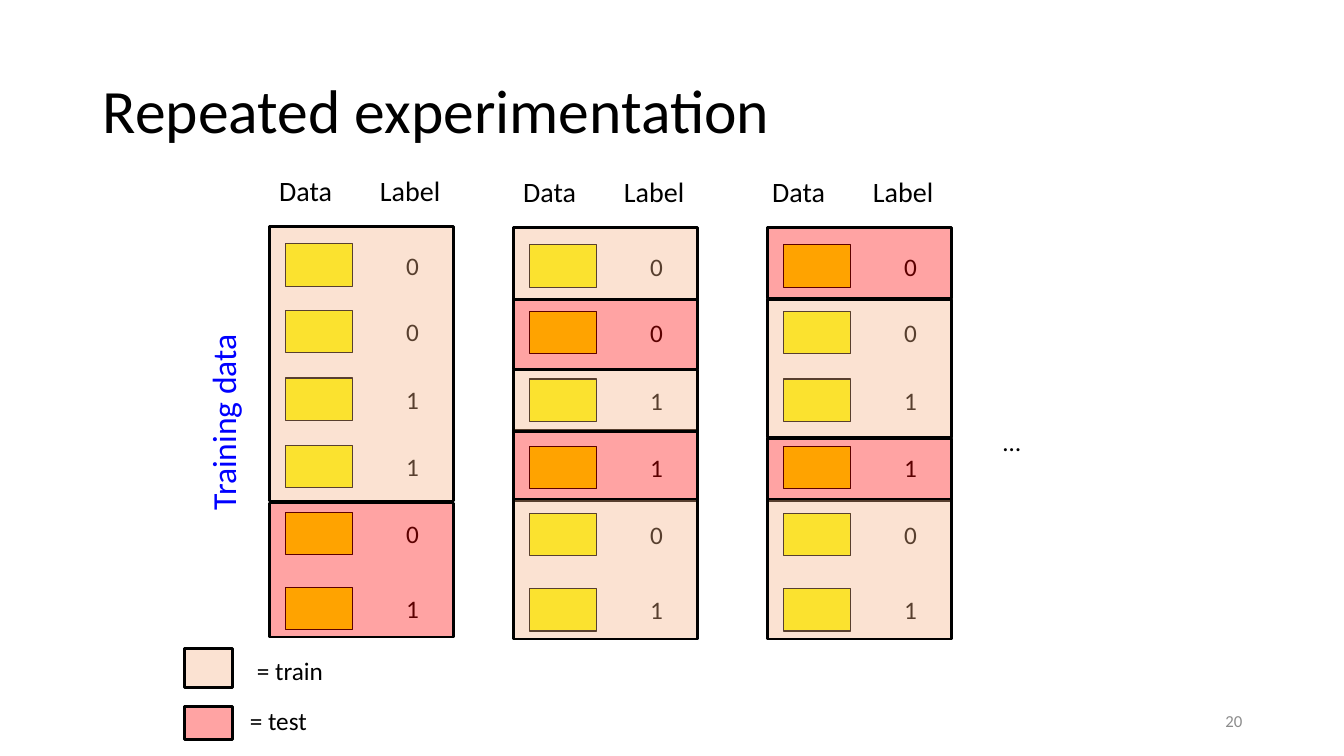
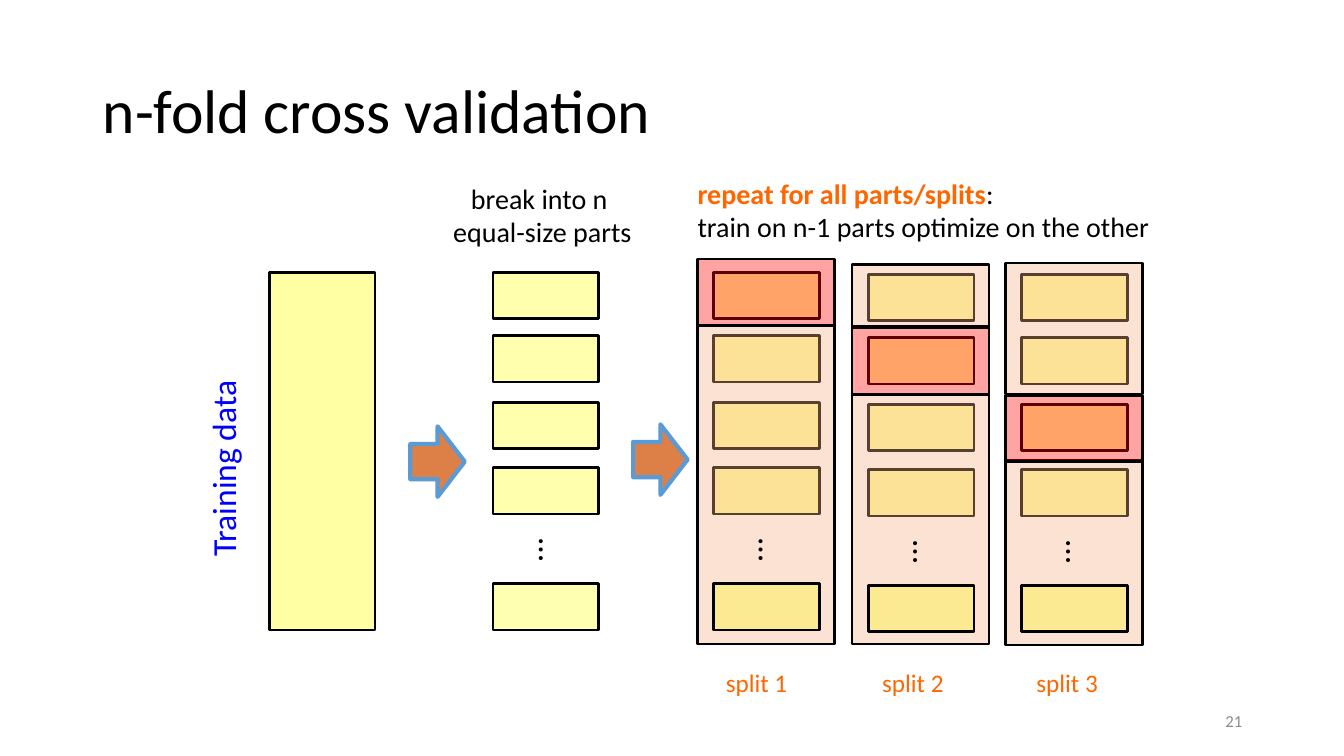
import dataclasses

import pptx
import pptx.dml.color
import pptx.enum.shapes
import pptx.enum.text
import pptx.oxml
import pptx.oxml.ns
import pptx.util

Inches = pptx.util.Inches
Pt = pptx.util.Pt
RGB = pptx.dml.color.RGBColor.from_string
Align = pptx.enum.text.PP_ALIGN
Anchor = pptx.enum.text.MSO_ANCHOR
Fit = pptx.enum.text.MSO_AUTO_SIZE
Kind = pptx.enum.shapes.MSO_SHAPE


@dataclasses.dataclass(frozen=True)
class Theme:
    """Colours, font and type sizes of the deck."""
    font: str = "Calibri"
    ink: str = "000000"
    paper: str = "FFFFFF"
    side: str = "0000FF"
    accent: str = "FF6600"
    pale: str = "8C8C8C"
    data: str = "FFFF00"
    train: str = "F4B183"
    test: str = "FF0000"
    arrow: str = "DD8047"
    edge: str = "5B9BD5"
    title: int = 44
    big: int = 24
    head: int = 20
    body: int = 18
    small: int = 12
    thin: float = 0.75
    thick: float = 2
    heavy: float = 3
    glass: int = 36


def assign(target, values):
    """Set each named value on the target."""
    for name, value in values.items():
        setattr(target, name, value)


class Deck:
    """Holds the style and the current slide, and draws on it."""

    def __init__(self, theme):
        """Start an empty wide deck."""
        self.theme = theme
        self.show = pptx.Presentation()
        assign(self.show, {"slide_width": Inches(13.33),
                           "slide_height": Inches(7.5)})
        self.slide = None
        self.art = None

    def page(self, title, number):
        """Add a slide with its title and number."""
        self.slide = self.show.slides.add_slide(self.show.slide_layouts[5])
        self.art = self.slide.shapes
        fill = self.slide.background.fill
        fill.solid()
        fill.fore_color.rgb = RGB(self.theme.paper)
        box = self.slide.shapes.title
        self.place(box, 0.92, 0.4, 11.5, 1.45)
        assign(box.text_frame, {"word_wrap": True, "auto_size": Fit.NONE,
                                "vertical_anchor": Anchor.MIDDLE})
        para = box.text_frame.paragraphs[0]
        assign(para, {"alignment": Align.LEFT, "line_spacing": 0.9})
        self.run(para, title, self.theme.title)
        self.text([[(number, {"color": self.theme.pale})]],
                  9.42, 6.95, 3, 0.4, self.theme.small, align=Align.RIGHT,
                  frame={"word_wrap": True, "auto_size": Fit.NONE,
                         "vertical_anchor": Anchor.MIDDLE})

    def group(self):
        """Send what follows to a new group."""
        self.art = self.slide.shapes.add_group_shape().shapes

    def place(self, shape, left, top, width, height):
        """Put a shape at a spot given in inches."""
        assign(shape, {"left": Inches(left), "top": Inches(top),
                       "width": Inches(width), "height": Inches(height)})

    def run(self, para, words, size, color=None, bold=False):
        """Add a run of styled words."""
        run = para.add_run()
        run.text = words
        assign(run.font, {"name": self.theme.font, "size": Pt(size),
                          "bold": bold})
        run.font.color.rgb = RGB(color or self.theme.ink)

    def text(self, lines, left, top, width, height, size,
             align=Align.LEFT, turn=0, frame=None):
        """Add a text box; a line lists (words, format), or None to break."""
        box = self.art.add_textbox(Inches(left), Inches(top),
                                   Inches(width), Inches(height))
        box.rotation = turn
        body = box.text_frame
        assign(body, frame or {"word_wrap": False,
                               "auto_size": Fit.SHAPE_TO_FIT_TEXT})
        for index, line in enumerate(lines):
            para = body.add_paragraph() if index else body.paragraphs[0]
            para.alignment = align
            for piece in line:
                if piece is None:
                    para.add_line_break()
                else:
                    self.run(para, piece[0], size, **piece[1])

    def label(self, words, left, top, width, height, size,
              color=None, turn=0):
        """Add one short line of text."""
        self.text([[(words, {"color": color})]], left, top, width, height,
                  size, turn=turn)

    def shape(self, left, top, width, height, color, kind=Kind.RECTANGLE,
              line=None, weight=None, alpha=None):
        """Add a filled outline shape, clear by alpha if given."""
        shape = self.art.add_shape(kind, Inches(left), Inches(top),
                                   Inches(width), Inches(height))
        shape.shadow.inherit = False
        shape.fill.solid()
        shape.fill.fore_color.rgb = RGB(color)
        shape.line.color.rgb = RGB(line or self.theme.ink)
        shape.line.width = Pt(weight or self.theme.thick)
        if alpha:
            tint = shape.element.spPr.find("/".join(
                map(pptx.oxml.ns.qn, ("a:solidFill", "a:srgbClr"))))
            tint.append(pptx.oxml.parse_xml(
                f'<a:alpha {pptx.oxml.ns.nsdecls("a")} val="{alpha * 1000}"/>'))

    def band(self, role, left, top, width, height):
        """Add a clear band in the colour of its role."""
        self.shape(left, top, width, height, getattr(self.theme, role),
                   alpha=self.theme.glass)

    def side(self, top):
        """Add the upright label at the left."""
        self.label("Training data", 1.21, top, 2, 0.5, self.theme.big,
                   self.theme.side, turn=270)

    def arrow(self, left, top):
        """Add a block arrow."""
        self.shape(left, top, 0.54, 0.7, self.theme.arrow, Kind.RIGHT_ARROW,
                   self.theme.edge, self.theme.heavy)

    def dots(self, left, top):
        """Add an upright row of dots."""
        self.label("…", left, top, 0.44, 0.5, self.theme.big, turn=90)

    def slab(self, left, top, alpha):
        """Add one equal part of the data."""
        self.shape(left, top, 1.05, 0.46, self.theme.data, alpha=alpha)


LABELS = "001101"
ROWS = [2.42, 3.08, 3.75, 4.42, 5.08, 5.83]
# left, shift down, left of heads, bands as (role, top, height)
TRIALS = [
    (2.67, 0, 2.67, [("train", 2.25, 2.72), ("test", 4.99, 1.33)]),
    (5.09, 0.01, 5.09, [("train", 2.26, 0.71), ("test", 2.97, 0.7),
                        ("test", 4.27, 0.7), ("train", 4.95, 1.39),
                        ("train", 3.67, 0.61)]),
    (7.61, 0.01, 7.56, [("train", 2.97, 1.37), ("test", 2.26, 0.7),
                        ("test", 4.35, 0.62), ("train", 4.95, 1.39)]),
]
# role, top of key, height of key, left of words, top of words, width
KEYS = [("train", 6.43, 0.39, 2.45, 6.45, 0.9),
        ("test", 7.01, 0.33, 2.38, 6.95, 0.77)]

SLABS = [2.7, 3.33, 3.99, 4.64]
LAST = 5.79
# left, shift down, left of name, bands under and over the last slab
SPLITS = [
    (6.92, 0, 7.1, [("train", 3.23, 3.16), ("test", 2.57, 0.66)], []),
    (8.45, 0.02, 8.65, [("train", 3.91, 2.48), ("test", 3.25, 0.66)],
     [("train", 2.62, 0.62)]),
    (9.97, 0.02, 10.18, [("train", 4.57, 1.83), ("test", 3.92, 0.66)],
     [("train", 2.61, 1.3)]),
]


def trials(deck):
    """Draw the slide of repeated trials."""
    look = deck.theme
    deck.page("Repeated experimentation", "20")
    deck.side(3.91)
    for left, shift, head, bands in TRIALS:
        deck.label("Data", head, 1.67 + shift, 0.73, 0.44, look.head)
        deck.label("Label", head + 1, 1.67 + shift, 0.81, 0.44, look.head)
        for top, digit in zip(ROWS, LABELS):
            deck.shape(left + 0.16, top + shift, 0.67, 0.42, look.data,
                       weight=look.thin)
            deck.label(digit, left + 1.26, top + shift + 0.01, 0.34, 0.4,
                       look.body)
        for role, top, height in bands:
            deck.band(role, left, top, 1.83, height)
    deck.label("…", 9.85, 4.18, 0.38, 0.4, look.body)
    for role, top, height, left, line, width in KEYS:
        deck.band(role, 1.83, top, 0.48, height)
        deck.label(f"= {role}", left, line, width, 0.4, look.body)


def folds(deck):
    """Draw the slide of n-fold splits."""
    look = deck.theme
    deck.page("n-fold cross validation", "21")
    deck.side(4.37)
    deck.band("data", 2.67, 2.7, 1.05, 3.55)
    deck.arrow(4.07, 4.23)
    deck.text([[("break into n ", {})], [("equal-size parts", {})]],
              4.38, 1.75, 2, 0.77, look.head, Align.CENTER)
    for top in SLABS:
        deck.slab(4.89, top, 32)
    deck.dots(5.26, 5.21)
    deck.slab(4.89, LAST, 30)
    deck.arrow(6.28, 4.21)
    deck.text([[("repeat for all parts/splits",
                 {"color": look.accent, "bold": True}), (":", {}), None,
                ("train on n-1 parts optimize on the other", {})]],
              6.82, 1.7, 4.78, 0.77, look.head,
              frame={"word_wrap": True, "auto_size": Fit.SHAPE_TO_FIT_TEXT})
    for count, (left, shift, name, under, over) in enumerate(SPLITS, 1):
        deck.group()
        for top in SLABS:
            deck.slab(left + 0.16, top + shift, look.glass)
        for role, top, height in under:
            deck.band(role, left, top, 1.36, height)
        deck.dots(left + 0.52, 5.21 + shift)
        deck.slab(left + 0.16, LAST + shift, 30)
        for role, top, height in over:
            deck.band(role, left, top, 1.36, height)
        deck.label(f"split {count}", name, 6.57, 0.81, 0.4, look.body,
                   look.accent)


deck = Deck(Theme())
trials(deck)
folds(deck)
deck.show.save("out.pptx")
